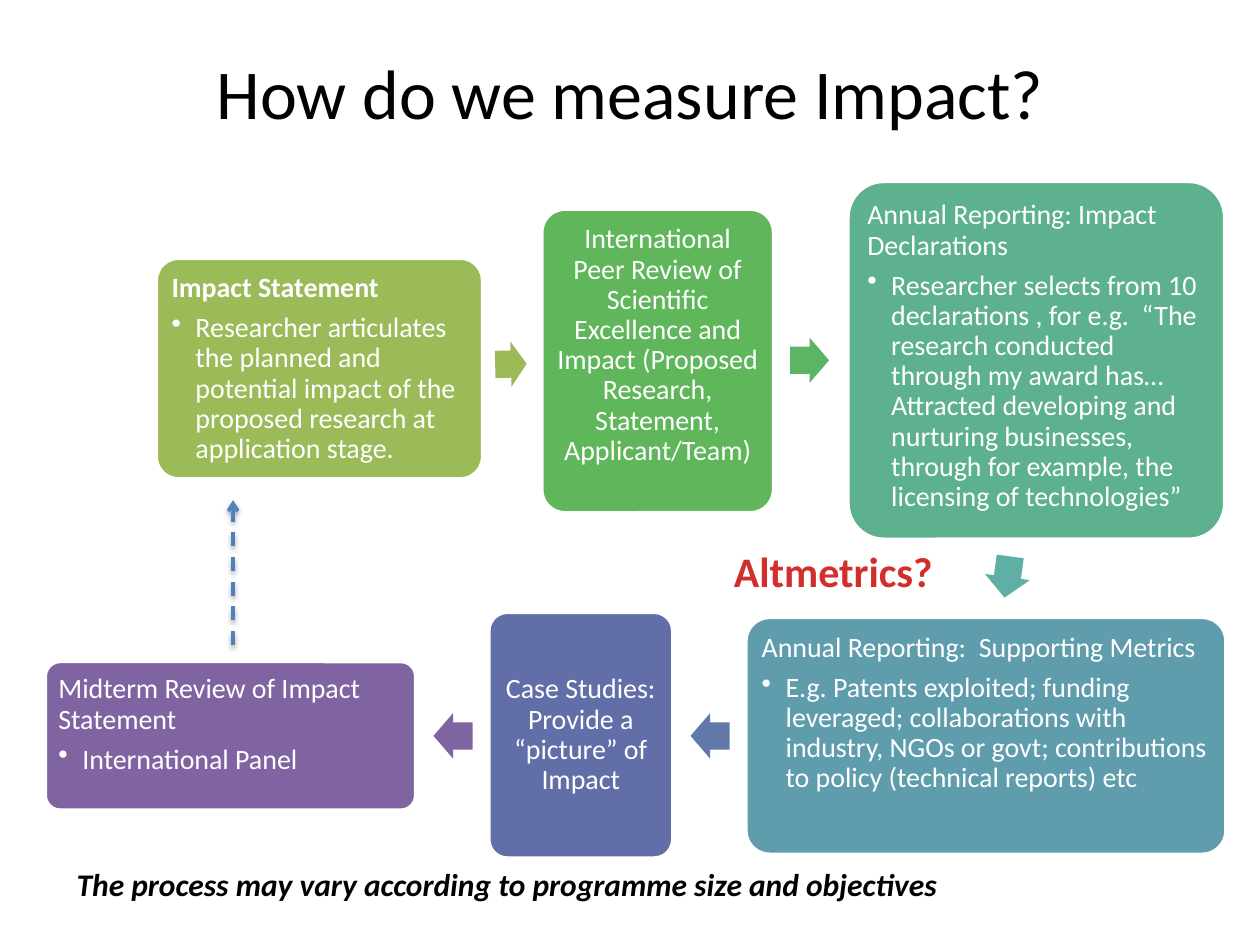
from lxml import etree
from pptx import Presentation
from pptx import util as u
from pptx.dml.color import RGBColor
from pptx.enum import dml, shapes, text
from pptx.oxml import parse_xml
from pptx.oxml.ns import nsdecls, qn

THEME = {
    "font": "Calibri",
    "white": "FFFFFF", "black": "000000", "red": "D02F2C", "blue": "4F81BD",
    "title": 40, "callout": 24, "note": 18, "body": 16,
}
LEFT, CENTER = text.PP_ALIGN.LEFT, text.PP_ALIGN.CENTER
TOP, MIDDLE = text.MSO_ANCHOR.TOP, text.MSO_ANCHOR.MIDDLE

deck = Presentation()
deck.slide_width, deck.slide_height = u.Inches(10), u.Inches(7.5)
page = deck.slides.add_slide(deck.slide_layouts[6])
COLUMN, ROW = deck.slide_width / 100, deck.slide_height / 75


def place(left, top, width, height):
    """Turn grid columns and rows into slide lengths."""
    return [round(n * step) for n, step in
            zip((left, top, width, height), (COLUMN, ROW, COLUMN, ROW))]


def write(box, lines, size, color, align=LEFT, anchor=TOP, margin=None, **font):
    """Fill a box with paragraphs; every line after the first is a bullet."""
    frame = box.text_frame
    frame.word_wrap, frame.vertical_anchor = True, anchor
    if margin is not None:
        for side in ("left", "top", "right", "bottom"):
            setattr(frame, f"margin_{side}", margin)
    for index, line in enumerate(lines):
        para = frame.paragraphs[0] if index == 0 else frame.add_paragraph()
        para.alignment = align
        if margin is not None:
            para.line_spacing, para.space_after = 0.9, u.Pt(5.6 if index == 0 else 2.4)
        if index:
            props = para._p.get_or_add_pPr()
            props.set("marL", str(u.Inches(0.19)))
            props.set("indent", str(-u.Inches(0.19)))
            etree.SubElement(props, qn("a:buChar")).set("char", "•")
        span = para.add_run()
        span.text = line
        look = {"name": THEME["font"], "size": u.Pt(size), **font}
        if index:
            look["bold"] = False
        for key, value in look.items():
            setattr(span.font, key, value)
        span.font.color.rgb = RGBColor.from_string(color)


# Headings and notes
labels = [
    ((5, 3, 90, 8.5), "How do we measure Impact?", "title", "black",
     {"align": CENTER, "anchor": MIDDLE}),
    ((5.1, 68.2, 76.4, 4), "The process may vary according to programme size and objectives",
     "note", "black", {"bold": True, "italic": True}),
    ((57.1, 42.8, 18.1, 5), "Altmetrics?", "callout", "red",
     {"align": CENTER, "bold": True}),
]
for area, words, size, color, options in labels:
    write(page.shapes.add_textbox(*place(*area)), [words], THEME[size], THEME[color], **options)

# Stages of the process, in order
stages = [
    ((12.4, 20.5, 25.9, 17.5), "9BBB59", {"bold": True}, [
        "Impact Statement",
        "Researcher articulates the planned and potential impact of the proposed "
        "research at application stage."]),
    ((43, 16.6, 18.4, 24.1), "5FB65B", {"align": CENTER}, [
        "International Peer Review of Scientific Excellence and Impact "
        "(Proposed Research, Statement, Applicant/Team)"]),
    ((67.3, 14.4, 29.9, 28.4), "5DB18E", {}, [
        "Annual Reporting: Impact Declarations",
        "Researcher selects from 10 declarations , for e.g.  “The research conducted "
        "through my award has…Attracted developing and nurturing businesses, through "
        "for example, the licensing of technologies”"]),
    ((59.2, 49, 38.1, 18.8), "5F9DAC", {}, [
        "Annual Reporting:  Supporting Metrics",
        "E.g. Patents exploited; funding leveraged; collaborations with industry, "
        "NGOs or govt; contributions to policy (technical reports) etc"]),
    ((38.8, 48.6, 14.6, 19.5), "626EA7", {"align": CENTER, "anchor": MIDDLE}, [
        "Case Studies: Provide a “picture” of Impact"]),
    ((3.6, 52.5, 29.4, 11.8), "8064A2", {}, [
        "Midterm Review of Impact Statement",
        "International Panel"]),
]
for area, fill, options, lines in stages:
    stage = page.shapes.add_shape(shapes.MSO_SHAPE.ROUNDED_RECTANGLE, *place(*area))
    stage.adjustments[0] = 0.1
    stage.shadow.inherit = False
    stage.fill.solid()
    stage.fill.fore_color.rgb = RGBColor.from_string(fill)
    stage.line.color.rgb = RGBColor.from_string(THEME["white"])
    stage.line.width = u.Pt(2)
    write(stage, lines, THEME["body"], THEME["white"], margin=u.Inches(0.07), **options)

# Block arrows from stage to stage
steps = [
    ((39.3, 27.1, 2.5, 3.6), 358.5, "9BBB59"),
    ((62.7, 26.8, 3.1, 3.6), 0, "5CB565"),
    ((78.3, 44, 3.3, 3.6), 97.8, "5EAFA6"),
    ((54.8, 56.6, 3.1, 3.6), 180, "6179A8"),
    ((34.4, 56.6, 3.1, 3.6), 180, "8064A2"),
]
for area, angle, fill in steps:
    step = page.shapes.add_shape(shapes.MSO_SHAPE.RIGHT_ARROW, *place(*area))
    step.adjustments[0], step.adjustments[1] = 0.6, 0.5
    step.rotation = angle
    step.shadow.inherit = False
    step.fill.solid()
    step.fill.fore_color.rgb = RGBColor.from_string(fill)
    step.line.fill.background()

# Dashed feedback arrow from the review to the statement
feedback = page.shapes.add_connector(
    shapes.MSO_CONNECTOR.STRAIGHT, *place(18.5, 51.2, 18.5, 39.7))
feedback.line.color.rgb = RGBColor.from_string(THEME["blue"])
feedback.line.width = u.Pt(2)
feedback.line.dash_style = dml.MSO_LINE.DASH
etree.SubElement(feedback.line._get_or_add_ln(), qn("a:tailEnd")).set("type", "arrow")
feedback._element.spPr.append(parse_xml(
    f'<a:effectLst {nsdecls("a")}>'
    f'<a:outerShdw blurRad="{u.Pt(3.1)}" dist="{u.Pt(1.6)}" dir="5400000" rotWithShape="0">'
    f'<a:srgbClr val="{THEME["black"]}"><a:alpha val="38000"/></a:srgbClr>'
    '</a:outerShdw></a:effectLst>'))

deck.save("out.pptx")
